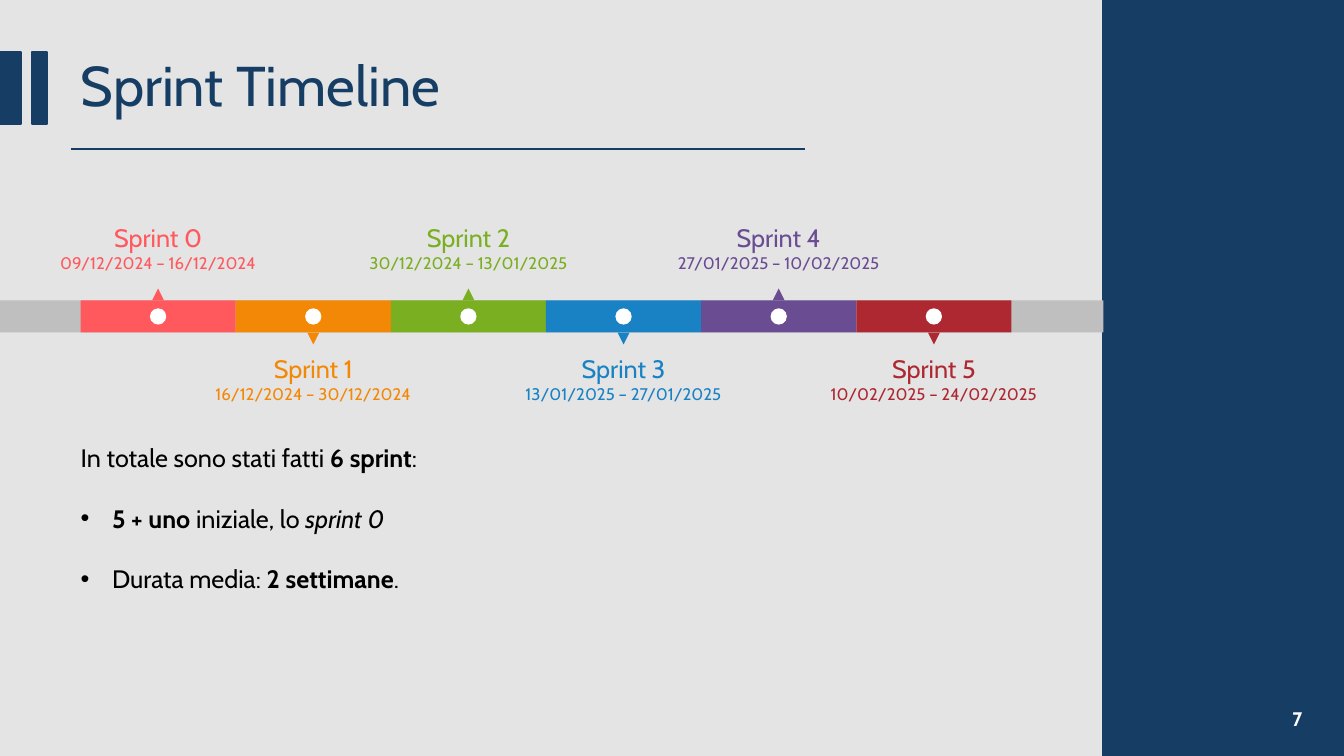
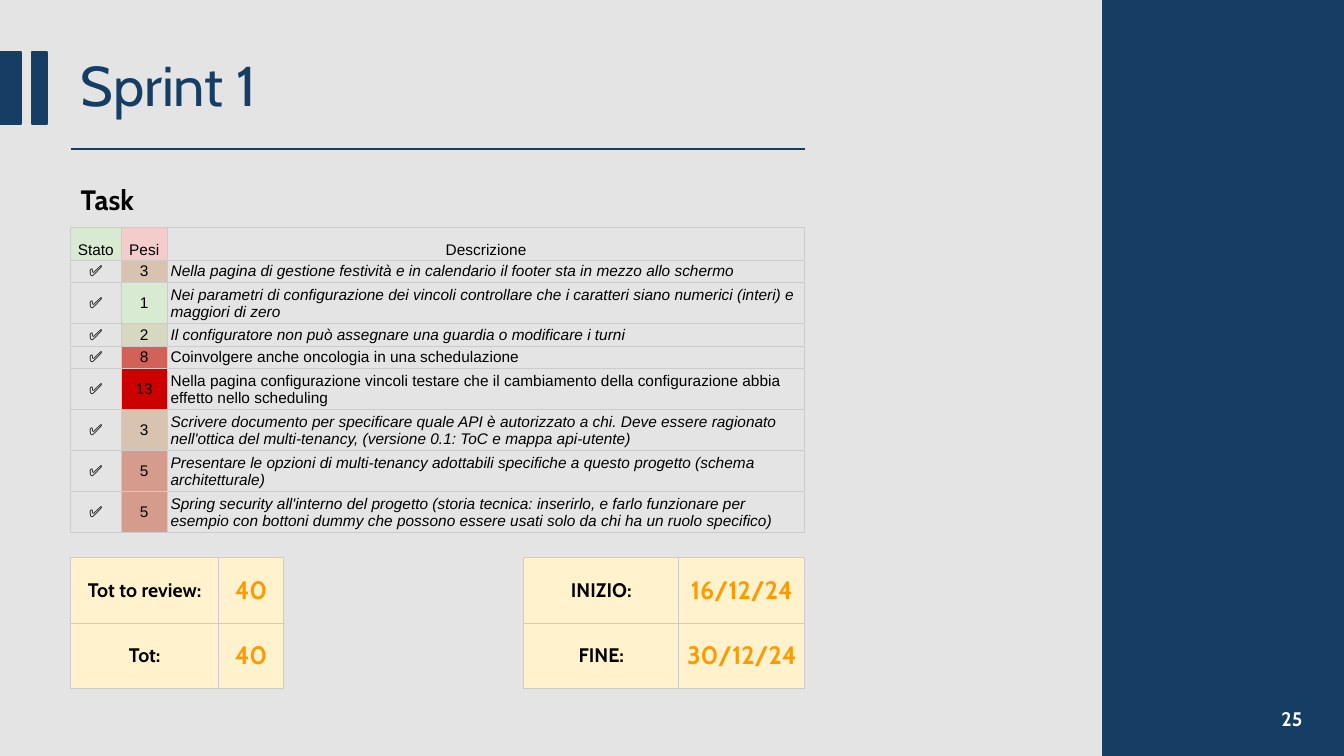
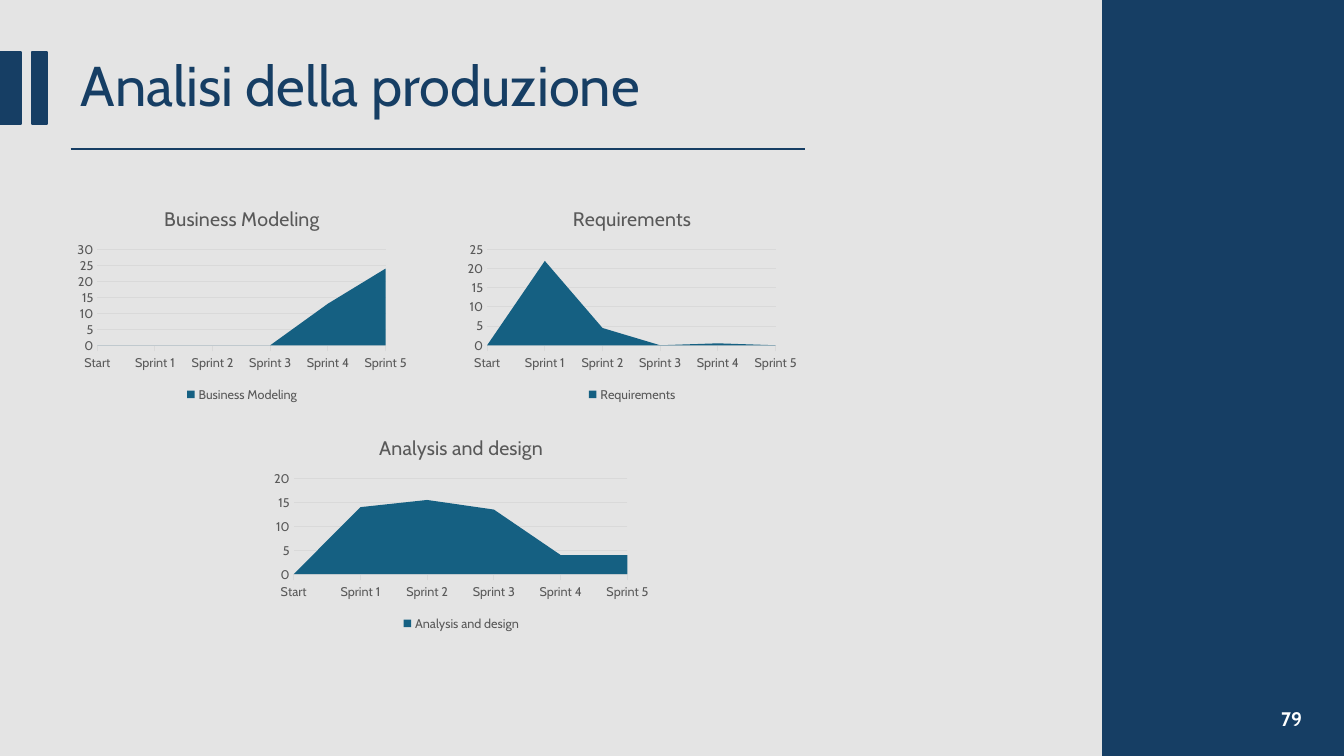
from lxml.etree import SubElement
from pptx import Presentation
from pptx.chart.data import CategoryChartData
from pptx.dml.color import RGBColor
from pptx.enum.chart import XL_CHART_TYPE, XL_LEGEND_POSITION, XL_TICK_MARK
from pptx.enum.shapes import MSO_CONNECTOR, MSO_SHAPE
from pptx.enum.text import MSO_ANCHOR, MSO_AUTO_SIZE, PP_ALIGN
from pptx.oxml.ns import qn
from pptx.util import Cm, Pt

NAVY = RGBColor(0x16, 0x3E, 0x64)
PAPER = RGBColor(0xE4, 0xE4, 0xE4)
WHITE = RGBColor(0xFF, 0xFF, 0xFF)
BLACK = RGBColor(0, 0, 0)
TRACK = RGBColor(0xBF, 0xBF, 0xBF)
EDGE = RGBColor(0xCC, 0xCC, 0xCC)
MIST = RGBColor(0xD9, 0xD9, 0xD9)
SLATE = RGBColor(0x59, 0x59, 0x59)
TEAL = RGBColor(0x15, 0x60, 0x82)
CREAM = RGBColor(0xFF, 0xF2, 0xCC)
AMBER = RGBColor(0xFF, 0x99, 0x00)
CORAL = RGBColor(0xFF, 0x59, 0x5E)
ORANGE = RGBColor(0xF3, 0x88, 0x07)
GREEN = RGBColor(0x79, 0xAF, 0x21)
BLUE = RGBColor(0x19, 0x82, 0xC4)
PURPLE = RGBColor(0x6A, 0x4C, 0x93)
RED = RGBColor(0xAD, 0x28, 0x31)
MINT = RGBColor(0xD9, 0xEA, 0xD3)
PINK = RGBColor(0xF4, 0xCC, 0xCC)
HEAT = {
    "1": MINT,
    "2": RGBColor(0xD8, 0xD7, 0xC2),
    "3": RGBColor(0xD7, 0xC3, 0xB0),
    "5": RGBColor(0xD5, 0x9C, 0x8D),
    "8": RGBColor(0xD2, 0x62, 0x58),
    "13": RGBColor(0xCC, 0, 0),
}
FONT = "Cabin"
LEFT = 1.78
WIDE = 18.5
PANEL = 27.81


def style(font, size, color, bold=False, italic=False, name=FONT):
    font.name = name
    font.size = Pt(size)
    font.bold = bold
    font.italic = italic
    font.color.rgb = color


def place(shape, x, y, w, h):
    shape.left, shape.top, shape.width, shape.height = Cm(x), Cm(y), Cm(w), Cm(h)


class Deck:
    """Holds the shared style and the slide being filled."""

    def __init__(self):
        self.prs = Presentation()
        self.prs.slide_width, self.prs.slide_height = Cm(33.87), Cm(19.05)
        fill = self.prs.slide_master.background.fill
        fill.solid()
        fill.fore_color.rgb = PAPER

    def start(self, title, number, layout=5):
        self.slide = self.prs.slides.add_slide(self.prs.slide_layouts[layout])
        self.shapes = self.slide.shapes
        head = self.shapes.title
        place(head, LEFT, 1.32, WIDE, 1.8)
        frame = head.text_frame
        frame.text = title
        frame.auto_size = MSO_AUTO_SIZE.NONE
        frame.vertical_anchor = MSO_ANCHOR.MIDDLE
        line = frame.paragraphs[0]
        line.alignment = PP_ALIGN.LEFT
        line.line_spacing = 0.9
        style(line.runs[0].font, 40, NAVY)
        for box in ((0, 1.32, 0.53, 1.8), (0.81, 1.32, 0.38, 1.8), (PANEL, 0, 6.06, 19.05)):
            self.block(*box, NAVY, edge=True)
        self.rule(LEFT, 3.76, WIDE)
        self.text(25.45, 17.6, 7.62, 1.02, [(number, 14)], WHITE, PP_ALIGN.RIGHT,
                  bold=True, anchor=MSO_ANCHOR.MIDDLE)

    def block(self, x, y, w, h, color, kind=MSO_SHAPE.RECTANGLE, edge=False):
        shape = self.shapes.add_shape(kind, Cm(x), Cm(y), Cm(w), Cm(h))
        shape.shadow.inherit = False
        shape.fill.solid()
        shape.fill.fore_color.rgb = color
        if edge:
            shape.line.color.rgb = color
            shape.line.width = Pt(1.5)
        else:
            shape.line.fill.background()
        return shape

    def rule(self, x, y, w):
        line = self.shapes.add_connector(MSO_CONNECTOR.STRAIGHT, Cm(x), Cm(y), Cm(x + w), Cm(y))
        line.line.color.rgb = NAVY
        line.line.width = Pt(1.5)
        SubElement(line._element.spPr, qn("a:effectLst"))

    def text(self, x, y, w, h, lines, color, align=PP_ALIGN.LEFT, bold=False,
             anchor=MSO_ANCHOR.TOP):
        """Add a box of lines, each a pair of words and size."""
        frame = self.shapes.add_textbox(Cm(x), Cm(y), Cm(w), Cm(h)).text_frame
        frame.word_wrap = True
        frame.vertical_anchor = anchor
        frame.text = "\n".join(words for words, _ in lines)
        for line, (_, size) in zip(frame.paragraphs, lines):
            line.alignment = align
            style(line.runs[0].font, size, color, bold)

    def points(self, x, y, w, h, lines):
        """Fill the body with an opening line and bullets; a run is (words, look)."""
        body = self.slide.placeholders[1]
        place(body, x, y, w, h)
        frame = body.text_frame
        frame.auto_size = MSO_AUTO_SIZE.NONE
        frame.vertical_anchor = MSO_ANCHOR.TOP
        for i, runs in enumerate(lines):
            line = frame.add_paragraph() if i else frame.paragraphs[0]
            line.space_before = Pt(21.6 if i else 0)
            props = line._p.get_or_add_pPr()
            props.set("marL", str(Cm(0.79) if i else 0))
            props.set("indent", str(-Cm(0.79) if i else 0))
            if i:
                SubElement(props, qn("a:buFont"), typeface="Arial")
                SubElement(props, qn("a:buChar"), char="•")
            else:
                SubElement(props, qn("a:buNone"))
            for words, look in runs:
                run = line.add_run()
                run.text = words
                style(run.font, 18, BLACK, look == "b", look == "i")

    def table(self, x, y, widths, heights, rows):
        """Draw rows of cells, each (words, fill, alignment, anchor, look)."""
        grid = self.shapes.add_table(len(heights), len(widths), Cm(x), Cm(y),
                                     Cm(sum(widths)), Cm(sum(heights))).table
        grid.first_row = grid.horz_banding = False
        for col, width in zip(grid.columns, widths):
            col.width = Cm(width)
        for row, height, items in zip(grid.rows, heights, rows):
            row.height = Cm(height)
            for cell, item in zip(row.cells, items):
                self.cell(cell, *item)

    def cell(self, cell, words, fill, align, anchor, look):
        cell.margin_left = cell.margin_right = Cm(0.08)
        cell.margin_top = cell.margin_bottom = Cm(0.05)
        cell.vertical_anchor = anchor
        props = cell._tc.get_or_add_tcPr()
        for side in ("lnL", "lnR", "lnT", "lnB"):
            line = SubElement(props, qn("a:" + side), w=str(Pt(0.75)))
            paint = SubElement(line, qn("a:solidFill"))
            SubElement(paint, qn("a:srgbClr"), val=str(EDGE))
        if fill is None:
            cell.fill.background()
        else:
            cell.fill.solid()
            cell.fill.fore_color.rgb = fill
        cell.text_frame.text = words
        line = cell.text_frame.paragraphs[0]
        line.alignment = align
        style(line.runs[0].font, **look)

    def chart(self, x, y, w, h, title, cats, vals, top):
        data = CategoryChartData()
        data.categories = cats
        data.add_series(title, vals)
        chart = self.shapes.add_chart(XL_CHART_TYPE.AREA, Cm(x), Cm(y), Cm(w), Cm(h), data).chart
        style(chart.font, 10, BLACK)
        chart.has_title = True
        frame = chart.chart_title.text_frame
        frame.text = title
        style(frame.paragraphs[0].runs[0].font, 14, SLATE)
        chart.has_legend = True
        chart.legend.position = XL_LEGEND_POSITION.BOTTOM
        chart.legend.include_in_layout = False
        style(chart.legend.font, 9, SLATE)
        plot = chart.plots[0]
        plot.vary_by_categories = False
        fill = plot.series[0].format.fill
        fill.solid()
        fill.fore_color.rgb = TEAL
        base, scale = chart.category_axis, chart.value_axis
        for axis in (base, scale):
            style(axis.tick_labels.font, 9, SLATE)
        base.has_major_gridlines = False
        base.major_tick_mark = XL_TICK_MARK.OUTSIDE
        scale.major_tick_mark = XL_TICK_MARK.NONE
        scale.minimum_scale, scale.maximum_scale, scale.major_unit = 0, top, 5
        scale.has_major_gridlines = True
        for part in (base, scale.major_gridlines):
            part.format.line.color.rgb = MIST
            part.format.line.width = Pt(0.75)
        scale.format.line.fill.background()
        for tag, val in (("c:crossBetween", "midCat"), ("c:dispBlanksAs", "zero")):
            for node in chart._chartSpace.iter(qn(tag)):
                node.set("val", val)


def sprints(deck):
    deck.start("Sprint Timeline", "7", layout=1)
    days = ("09/12/2024", "16/12/2024", "30/12/2024", "13/01/2025",
            "27/01/2025", "10/02/2025", "24/02/2025")
    hues = (CORAL, ORANGE, GREEN, BLUE, PURPLE, RED)
    top, tall, step = 7.57, 0.81, 3.91
    dot, tip, label = 0.41, 0.3, 5.96
    deck.block(0, top, PANEL, tall, TRACK)
    for i, hue in enumerate(hues):
        x = 2.03 + i * step
        mid = x + step / 2
        below = i % 2
        deck.block(x, top, step, tall, hue)
        deck.block(mid - dot / 2, top + (tall - dot) / 2, dot, dot, WHITE, MSO_SHAPE.OVAL)
        mark = deck.block(mid - tip / 2, top + tall if below else top - tip, tip, tip,
                          hue, MSO_SHAPE.FLOWCHART_EXTRACT)
        mark.rotation = 180 * below
        deck.text(mid - label / 2, 8.79 if below else 5.47, label, 1.55,
                  [(f"Sprint {i}", 18), (f"{days[i]} – {days[i + 1]}", 12)],
                  hue, PP_ALIGN.CENTER)
    deck.points(LEFT, 11.02, 21.03, 4.11, [
        [("In totale sono stati fatti ", ""), ("6 sprint", "b"), (":", "")],
        [("5 + uno ", "b"), ("iniziale, lo ", ""), ("sprint 0", "i")],
        [("Durata media: ", ""), ("2 settimane", "b"), (".", "")],
    ])


def tasks(deck):
    deck.start("Sprint 1", "25")
    deck.text(LEFT, 4.47, WIDE, 1.12, [("Task", 20)], BLACK, bold=True)
    mid, low = MSO_ANCHOR.MIDDLE, MSO_ANCHOR.BOTTOM
    left, center = PP_ALIGN.LEFT, PP_ALIGN.CENTER
    plain = dict(size=11, color=BLACK, name="Arial")
    slant = dict(plain, italic=True)
    jobs = [
        ("3", slant, "Nella pagina di gestione festività e in calendario il footer sta in "
                     "mezzo allo schermo"),
        ("1", slant, "Nei parametri di configurazione dei vincoli controllare che i caratteri "
                     "siano numerici (interi) e maggiori di zero"),
        ("2", slant, "Il configuratore non può assegnare una guardia o modificare i turni"),
        ("8", plain, "Coinvolgere anche oncologia in una schedulazione"),
        ("13", plain, "Nella pagina configurazione vincoli testare che il cambiamento della "
                      "configurazione abbia effetto nello scheduling"),
        ("3", slant, "Scrivere documento per specificare quale API è autorizzato a chi. Deve "
                     "essere ragionato nell'ottica del multi-tenancy, (versione 0.1: ToC e "
                     "mappa api-utente)"),
        ("5", slant, "Presentare le opzioni di multi-tenancy adottabili specifiche a questo "
                     "progetto (schema architetturale)"),
        ("5", slant, "Spring security all'interno del progetto (storia tecnica: inserirlo, e "
                     "farlo funzionare per esempio con bottoni dummy che possono essere usati "
                     "solo da chi ha un ruolo specifico)"),
    ]
    heads = (("Stato", MINT), ("Pesi", PINK), ("Descrizione", None))
    rows = [[(words, fill, center, low, plain) for words, fill in heads]]
    for weight, look, words in jobs:
        rows.append([("✅", None, center, mid, plain),
                     (weight, HEAT[weight], center, mid, plain),
                     (words, None, left, mid, look)])
    heights = [0.84] + [1 if len(words) > 90 else 0.56 for _, _, words in jobs]
    deck.table(LEFT, 5.72, (1.27, 1.17, 16.06), heights, rows)

    name = dict(size=14, color=BLACK, bold=True)
    value = dict(size=18, color=AMBER, bold=True)
    sums = (
        (LEFT, (3.73, 1.63), (("Tot to review:", "40"), ("Tot:", "40"))),
        (13.2, (3.91, 3.17), (("INIZIO:", "16/12/24"), ("FINE:", "30/12/24"))),
    )
    for x, widths, pairs in sums:
        deck.table(x, 14.05, widths, (1.65, 1.65), [
            [(words, CREAM, center, mid, look) for words, look in zip(pair, (name, value))]
            for pair in pairs])


def output(deck):
    deck.start("Analisi della produzione", "79")
    cats = ["Start"] + [f"Sprint {i}" for i in range(1, 6)]
    for x, y, w, title, vals, top in (
        (LEFT, 4.83, 8.64, "Business Modeling", (None, 0, 0, 0, 13, 24), 30),
        (11.61, 4.83, 8.64, "Requirements", (None, 22, 4.5, 0, 0.5, 0), 25),
        (6.71, 10.6, 9.83, "Analysis and design", (None, 14, 15.5, 13.5, 4, 4), 20),
    ):
        deck.chart(x, y, w, 5.41, title, cats, vals, top)


def main():
    deck = Deck()
    for build in (sprints, tasks, output):
        build(deck)
    deck.prs.save("out.pptx")


if __name__ == "__main__":
    main()
